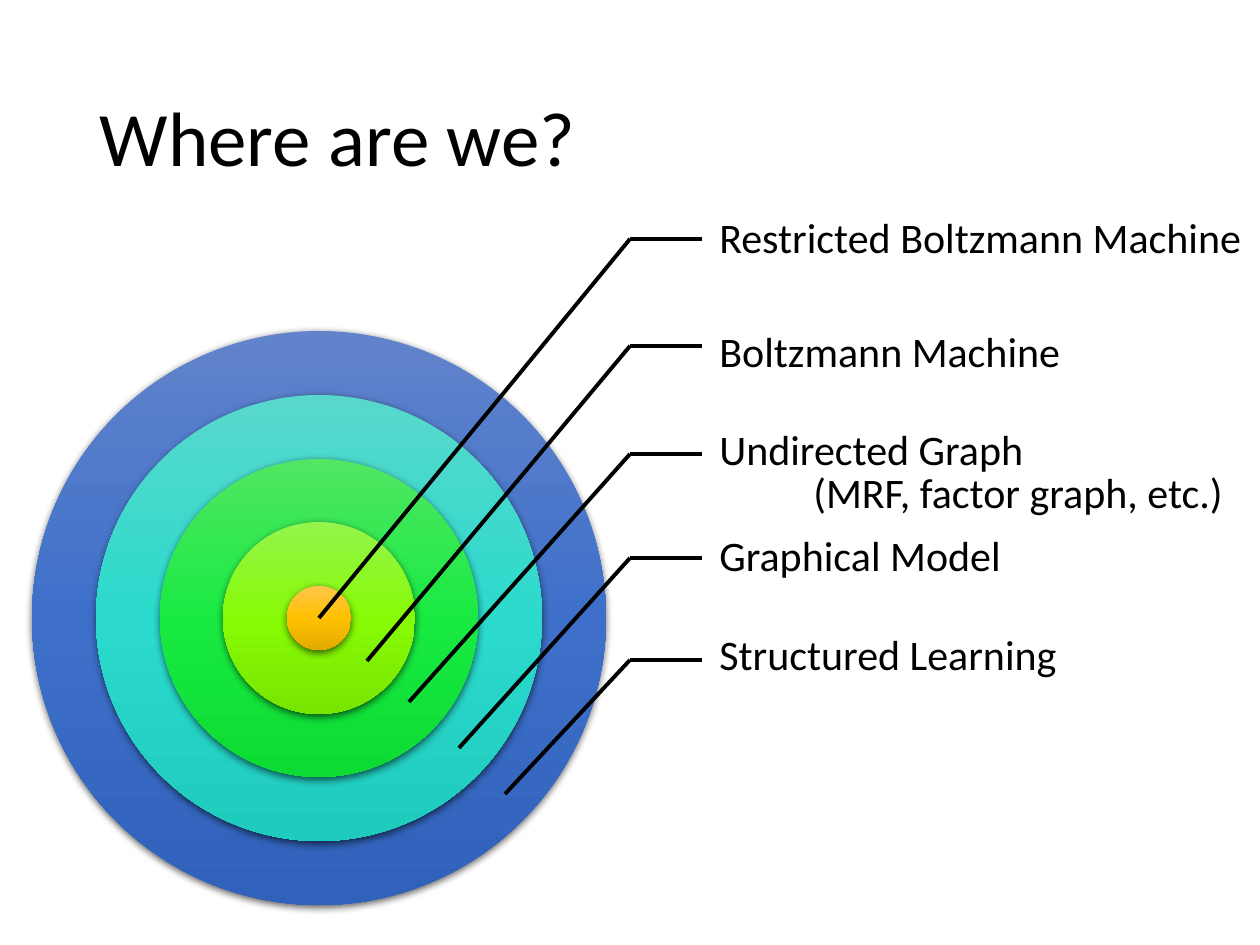
from typing import NamedTuple

from lxml import etree
from pptx import Presentation
from pptx.dml.color import RGBColor
from pptx.enum.shapes import MSO_CONNECTOR, MSO_SHAPE
from pptx.enum.text import MSO_ANCHOR, MSO_AUTO_SIZE, PP_ALIGN
from pptx.oxml.ns import qn
from pptx.util import Emu, Pt

STRAIGHT = MSO_CONNECTOR.STRAIGHT
OVAL = MSO_SHAPE.OVAL
MIDDLE = MSO_ANCHOR.MIDDLE
NO_AUTOFIT, GROW = MSO_AUTO_SIZE.NONE, MSO_AUTO_SIZE.SHAPE_TO_FIT_TEXT
LEFT = PP_ALIGN.LEFT

PX_PER_INCH = 126
FONT = "Calibri"
COLORS = {
    "ink": "000000",
    "blue top": "6183CB", "blue middle": "3E70CA", "blue bottom": "3062BB",
    "teal top": "58D8CC", "teal middle": "2BDACC", "teal bottom": "1ECBBD",
    "green top": "51E663", "green middle": "19EA42", "green bottom": "0CDB34",
    "lime top": "94F44C", "lime middle": "87FB06", "lime bottom": "78E500",
    "amber top": "FFC64B", "amber middle": "FFC000", "amber bottom": "E3AB00",
}
GRADIENT_STOPS = {"top": 0, "middle": 50, "bottom": 100}
CENTER_X, CENTER_Y = 319, 618
ELBOW_X, LEADER_END_X = 630, 702
LABEL_X, LABEL_HEIGHT = 707, 63


class Ring(NamedTuple):
    color: str
    radius: int


class Leader(NamedTuple):
    elbow_y: int
    target_x: int
    target_y: int


class Label(NamedTuple):
    text: str
    left: int
    top: int
    width: int


RINGS = [
    Ring("blue", 287),
    Ring("teal", 223),
    Ring("green", 159),
    Ring("lime", 96),
    Ring("amber", 32),
]
LEADERS = [
    Leader(239, CENTER_X, CENTER_Y),
    Leader(346, 367, 661),
    Leader(454, 409, 702),
    Leader(558, 459, 748),
    Leader(660, 505, 794),
]
LABELS = [
    Label("Restricted Boltzmann Machine", LABEL_X, 205, 606),
    Label("Boltzmann Machine", LABEL_X, 319, 606),
    Label("Undirected Graph", LABEL_X, 417, 606),
    Label("(MRF, factor graph, etc.)", 801, 460, 484),
    Label("Graphical Model", LABEL_X, 523, 484),
    Label("Structured Learning", LABEL_X, 622, 484),
]


def px(length: int) -> Emu:
    return Emu(round(length * 914400 / PX_PER_INCH))


def rgb(name: str) -> RGBColor:
    return RGBColor.from_string(COLORS[name])


def style_text(paragraph, size: int) -> None:
    paragraph.alignment = LEFT
    paragraph.font.name = FONT
    paragraph.font.size = Pt(size)
    paragraph.font.color.rgb = rgb("ink")


def fill_gradient(shape, color: str) -> None:
    """Fill from top to bottom with the three tones of a colour."""
    shape.fill.gradient()
    shape.fill.gradient_angle = 270
    stops = next(shape.element.spPr.iter(qn("a:gsLst")))
    for stop in list(stops):
        stops.remove(stop)
    for tone, percent in GRADIENT_STOPS.items():
        stop = etree.SubElement(stops, qn("a:gs"), pos=str(percent * 1000))
        etree.SubElement(stop, qn("a:srgbClr"), val=COLORS[f"{color} {tone}"])


def add_soft_shadow(shape) -> None:
    shape.shadow.inherit = False
    effects = shape.element.spPr.find(qn("a:effectLst"))
    shadow = etree.SubElement(
        effects, qn("a:outerShdw"), blurRad=str(Pt(4.5)), dist=str(Pt(1.5)),
        dir="5400000", algn="ctr", rotWithShape="0")
    color = etree.SubElement(shadow, qn("a:srgbClr"), val=COLORS["ink"])
    etree.SubElement(color, qn("a:alpha"), val="63000")


def draw_ring(shapes, ring: Ring) -> None:
    diameter = px(2 * ring.radius)
    disc = shapes.add_shape(OVAL, px(CENTER_X - ring.radius),
                            px(CENTER_Y - ring.radius), diameter, diameter)
    fill_gradient(disc, ring.color)
    disc.line.fill.background()
    add_soft_shadow(disc)


def draw_leader(shapes, leader: Leader) -> None:
    """Draw a level line to the label and a slanted one to the ring."""
    ends = [(LEADER_END_X, leader.elbow_y), (leader.target_x, leader.target_y)]
    for end_x, end_y in ends:
        line = shapes.add_connector(STRAIGHT, px(ELBOW_X), px(leader.elbow_y),
                                    px(end_x), px(end_y))
        line.line.color.rgb = rgb("ink")
        line.line.width = Pt(2.25)
        etree.SubElement(line.element.spPr, qn("a:effectLst"))


def draw_label(shapes, label: Label) -> None:
    box = shapes.add_textbox(px(label.left), px(label.top),
                             px(label.width), px(LABEL_HEIGHT))
    frame = box.text_frame
    frame.word_wrap = True
    frame.auto_size = GROW
    frame.text = label.text
    style_text(frame.paragraphs[0], 24)


def write_title(title) -> None:
    title.left, title.top = px(87), px(50)
    title.width, title.height = px(1086), px(183)
    frame = title.text_frame
    frame.text = "Where are we?"
    frame.vertical_anchor = MIDDLE
    frame.auto_size = NO_AUTOFIT
    paragraph = frame.paragraphs[0]
    paragraph.line_spacing = 0.9
    style_text(paragraph, 44)


def main() -> None:
    deck = Presentation()
    deck.slide_width, deck.slide_height = px(1260), px(945)
    page = deck.slides.add_slide(deck.slide_layouts.get_by_name("Title Only"))
    write_title(page.shapes.title)
    for ring in RINGS:
        draw_ring(page.shapes, ring)
    for leader in LEADERS:
        draw_leader(page.shapes, leader)
    for label in LABELS:
        draw_label(page.shapes, label)
    deck.save("out.pptx")


if __name__ == "__main__":
    main()
